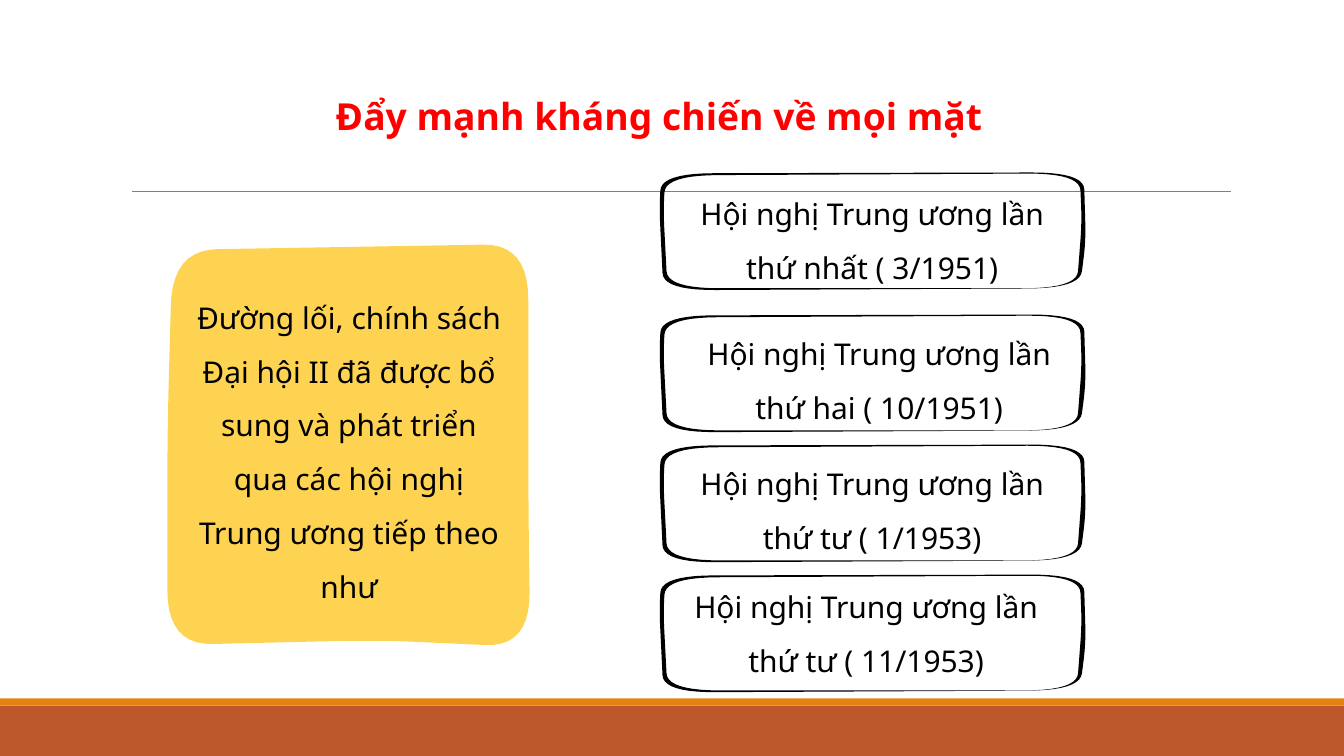
from math import hypot

from lxml import etree
from pptx import Presentation
from pptx import util as u
from pptx.dml import color
from pptx.enum import shapes, text
from pptx.oxml import ns

PX = 9144
WIDTH, HEIGHT = 1333, 750

BLOB = [(171, 248), (524, 242), (524, 492), (526, 642), (375, 635), (166, 640), (166, 428)]
FRAME_OUTER = [(2, 1), (421, 0), (423, 68), (417, 115), (4, 117), (0, 35)]
FRAME_INNER = [(4, 38), (8, 115), (414, 115), (419, 50), (417, 1), (6, 3)]

MEETINGS = [
    (171, 660, 180, "Hội nghị Trung ương lần thứ nhất ( 3/1951)"),
    (312, 667, 319, "Hội nghị Trung ương lần thứ hai ( 10/1951)"),
    (441, 660, 448, "Hội nghị Trung ương lần thứ tư ( 1/1953)"),
    (570, 654, 570, "Hội nghị Trung ương lần thứ tư ( 11/1953)"),
]


def px(n):
    return u.Emu(round(n * PX))


def rgb(value):
    return color.RGBColor.from_string(value)


def toward(corner, other, reach_x, reach_y):
    dx, dy = other[0] - corner[0], other[1] - corner[1]
    reach = reach_x if abs(dx) > abs(dy) else reach_y
    k = min(reach / hypot(dx, dy), 0.5)
    return corner[0] + k * dx, corner[1] + k * dy


def rounded(corners, reach_x, reach_y, steps=10):
    points = []
    for i, corner in enumerate(corners):
        start = toward(corner, corners[i - 1], reach_x, reach_y)
        end = toward(corner, corners[(i + 1) % len(corners)], reach_x, reach_y)
        for t in (n / steps for n in range(steps + 1)):
            points.append(tuple((1 - t) ** 2 * a + 2 * t * (1 - t) * b + t * t * c
                                for a, b, c in zip(start, corner, end)))
    return points


class Deck:
    """Draws styled elements on the current slide."""

    font = "Noto Sans"
    inset = 13

    def __init__(self):
        self.prs = Presentation()
        self.prs.slide_width, self.prs.slide_height = px(WIDTH), px(HEIGHT)
        self.slide = self.prs.slides.add_slide(self.prs.slide_layouts[6])

    def paint(self, sp, fill):
        sp.shadow.inherit = False
        sp.fill.solid()
        sp.fill.fore_color.rgb = rgb(fill)
        sp.line.fill.background()

    def rect(self, x, y, w, h, fill):
        sp = self.slide.shapes.add_shape(
            shapes.MSO_SHAPE.RECTANGLE, px(x), px(y), px(w), px(h))
        self.paint(sp, fill)

    def line(self, x1, y1, x2, y2, stroke, width):
        cn = self.slide.shapes.add_connector(
            shapes.MSO_CONNECTOR.STRAIGHT, px(x1), px(y1), px(x2), px(y2))
        cn.line.color.rgb = rgb(stroke)
        cn.line.width = u.Pt(width)
        etree.SubElement(cn._element.spPr, ns.qn("a:effectLst"))

    def outline(self, contours, fill, reach_x, reach_y, dx=0, dy=0):
        fb = None
        for corners in contours:
            points = [(px(x + dx), px(y + dy))
                      for x, y in rounded(corners, reach_x, reach_y)]
            if fb is None:
                fb = self.slide.shapes.build_freeform(*points[0])
            else:
                fb.move_to(*points[0])
            fb.add_line_segments(points[1:], close=True)
        self.paint(fb.convert_to_shape(), fill)

    def label(self, x, y, w, h, words, size=21.4, ink="000000", bold=False, spacing=1.5):
        tf = self.slide.shapes.add_textbox(px(x), px(y), px(w), px(h)).text_frame
        tf.word_wrap = True
        tf.vertical_anchor = text.MSO_ANCHOR.BOTTOM
        tf.margin_left = tf.margin_right = px(self.inset)
        tf.margin_top = tf.margin_bottom = px(self.inset)
        p = tf.paragraphs[0]
        p.alignment = text.PP_ALIGN.CENTER
        p.line_spacing = spacing
        r = p.add_run()
        r.text = words
        r.font.name, r.font.size, r.font.bold = self.font, u.Pt(size), bold
        r.font.color.rgb = rgb(ink)


def main():
    deck = Deck()
    deck.rect(0, 700, WIDTH, 50, "BD582C")
    deck.rect(0, 693, WIDTH, 7, "E48312")
    deck.line(131, 190, 1221, 190, "808080", 0.5)
    deck.label(94, 61, 1120, 89, "Đẩy mạnh kháng chiến về mọi mặt",
               size=26.6, ink="FF0000", bold=True, spacing=1.0)
    deck.outline([BLOB], "FFD352", 45, 55)
    deck.label(179, 243, 334, 370,
               "Đường lối, chính sách Đại hội II đã được bổ sung và phát triển "
               "qua các hội nghị Trung ương tiếp theo như")
    for top, x, y, words in MEETINGS:
        deck.outline([FRAME_OUTER, FRAME_INNER], "000000", 52, 17, 654, top)
        deck.label(x, y, 410, 116, words)
    deck.prs.save("out.pptx")


if __name__ == "__main__":
    main()
